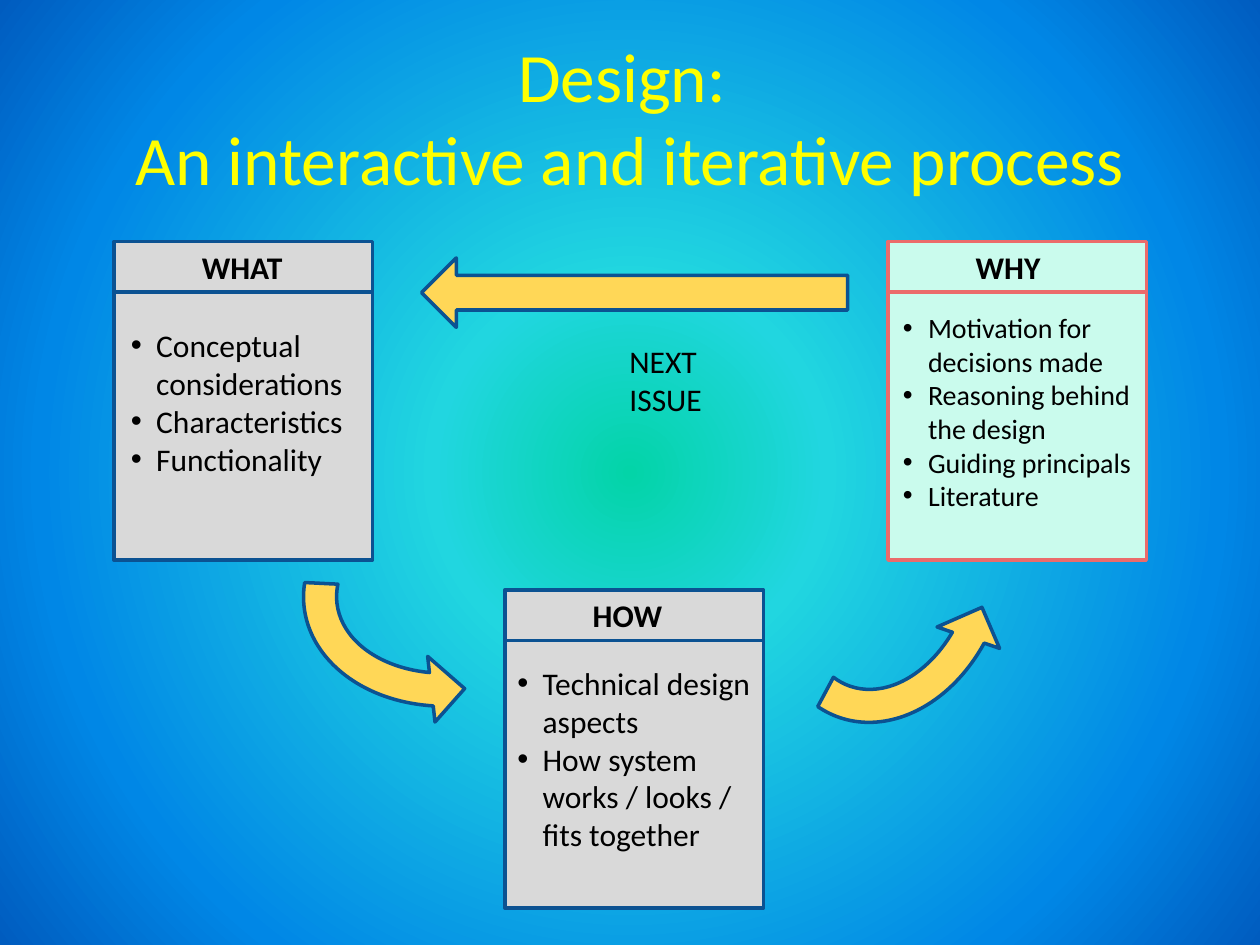
import pptx
import pptx.util
import pptx.dml.color
import pptx.enum.shapes
import pptx.enum.text
import pptx.oxml

Cm, Pt = pptx.util.Cm, pptx.util.Pt
SHAPE = pptx.enum.shapes.MSO_SHAPE
TEXT = pptx.enum.text
NS = 'xmlns:a="http://schemas.openxmlformats.org/drawingml/2006/main"'
BLUE, GREY, YELLOW = "0B5292", "D9D9D9", "FFD757"


def color(hex_value):
    return pptx.dml.color.RGBColor.from_string(hex_value)


def style(sp, fill, line):
    sp.shadow.inherit = False
    sp.fill.solid()
    sp.fill.fore_color.rgb = color(fill)
    sp.line.color.rgb = color(line)
    sp.line.width = Pt(2)


def add_run(p, text, size, hex_value="000000", bold=False):
    r = p.add_run()
    r.text = text
    r.font.name = "Calibri"
    r.font.size = Pt(size)
    r.font.bold = bold
    r.font.color.rgb = color(hex_value)


def add_bullet(p):
    pPr = p._p.get_or_add_pPr()
    pPr.set("marL", str(Cm(0.51)))
    pPr.set("indent", str(Cm(-0.53)))
    for xml in ('<a:buFont %s typeface="Arial"/>', '<a:buChar %s char="•"/>'):
        pPr.append(pptx.oxml.parse_xml(xml % NS))


def add_text(shapes, box, lines, size, bold=False, bullets=False):
    sp = shapes.add_textbox(*map(Cm, box))
    tf = sp.text_frame
    tf.word_wrap = bullets
    for i, line in enumerate(lines):
        p = tf.add_paragraph() if i else tf.paragraphs[0]
        if bullets:
            add_bullet(p)
        add_run(p, line, size, bold=bold)


def set_background(s):
    # Radial gradient from the slide's centre
    stops = ((0, "03D4A8"), (25, "21D6E0"), (75, "0087E6"), (100, "005CBF"))
    gs = "".join(f'<a:gs pos="{pos * 1000}"><a:srgbClr val="{c}"/></a:gs>'
                 for pos, c in stops)
    s.background.fill.solid()
    bgPr = s.background._cSld.bg.bgPr
    bgPr.replace(bgPr[0], pptx.oxml.parse_xml(
        f'<a:gradFill {NS} rotWithShape="1"><a:gsLst>{gs}</a:gsLst>'
        '<a:path path="circle"><a:fillToRect l="50000" t="50000" '
        'r="50000" b="50000"/></a:path></a:gradFill>'))


def set_title(s, box):
    sp = s.shapes.title
    sp.left, sp.top, sp.width, sp.height = map(Cm, box)
    tf = sp.text_frame
    tf.auto_size = TEXT.MSO_AUTO_SIZE.NONE
    tf.vertical_anchor = TEXT.MSO_ANCHOR.MIDDLE
    p = tf.paragraphs[0]
    p.alignment = TEXT.PP_ALIGN.CENTER
    add_run(p, "Design: ", 39.6, "FFFF00")
    p.add_line_break()
    add_run(p, "An interactive and iterative process", 39.6, "FFFF00")


def add_card(s, box, heading, items, list_box, size=18, fill=GREY, line=BLUE):
    """Heading strip over a body; list_box is (dx, dy, height) in the card."""
    x, y, w, h = box
    head = 1.02
    dx, dy, list_h = list_box
    shapes = s.shapes.add_group_shape().shapes
    for top, height in ((y + head, h - head), (y, head)):
        style(shapes.add_shape(SHAPE.RECTANGLE, Cm(x), Cm(top), Cm(w),
                               Cm(height)), fill, line)
    add_text(shapes, (x + 1.52, y, 2.5, head), [heading], 18, bold=True)
    add_text(shapes, (x + dx, y + dy, w, list_h), items, size, bullets=True)


def add_arrow(s, kind, box, flip, rotation=0, adjustments=()):
    sp = s.shapes.add_shape(kind, *map(Cm, box))
    style(sp, YELLOW, BLUE)
    sp.rotation = rotation
    sp._element.spPr.xfrm.set(flip, "1")
    for i, value in enumerate(adjustments):
        sp.adjustments[i] = value


def main():
    prs = pptx.Presentation()
    prs.slide_width, prs.slide_height = Cm(25.4), Cm(19.05)
    s = prs.slides.add_slide(prs.slide_layouts[5])
    set_background(s)
    set_title(s, (1.27, 0.76, 22.86, 3.18))

    # Arrows of the cycle
    bend = (0.125, 11.423, 204.577, 156.418, 0.125)
    for x, y, angle in ((6.48, 8.53, 83.6), (15.24, 8.23, 18.9)):
        add_arrow(s, SHAPE.CIRCULAR_ARROW, (x, y, 5.33, 6.73), "flipV",
                  angle, bend)
    add_arrow(s, SHAPE.RIGHT_ARROW, (8.5, 5.2, 8.59, 1.4), "flipH")

    # Cards
    w, h, top = 5.21, 6.42, 4.87
    add_card(s, (17.9, top, w, h), "WHY",
             ["Motivation for decisions made", "Reasoning behind the design",
              "Guiding principals", "Literature"],
             (0.05, 1.27, 4.45), 16, "CAFBED", "EB6B6B")
    add_card(s, (10.18, 11.89, w, h), "HOW",
             ["Technical design aspects",
              "How system works / looks / fits together"], (0, 1.37, 4.11))
    add_card(s, (2.3, top, w, h), "WHAT",
             ["Conceptual considerations", "Characteristics", "Functionality"],
             (0.09, 1.58, 3.33))

    # Label under the top arrow
    add_text(s.shapes, (12.44, 6.78, 3.18, 1.02), ["NEXT", "ISSUE"], 18)
    prs.save("out.pptx")


if __name__ == "__main__":
    main()
